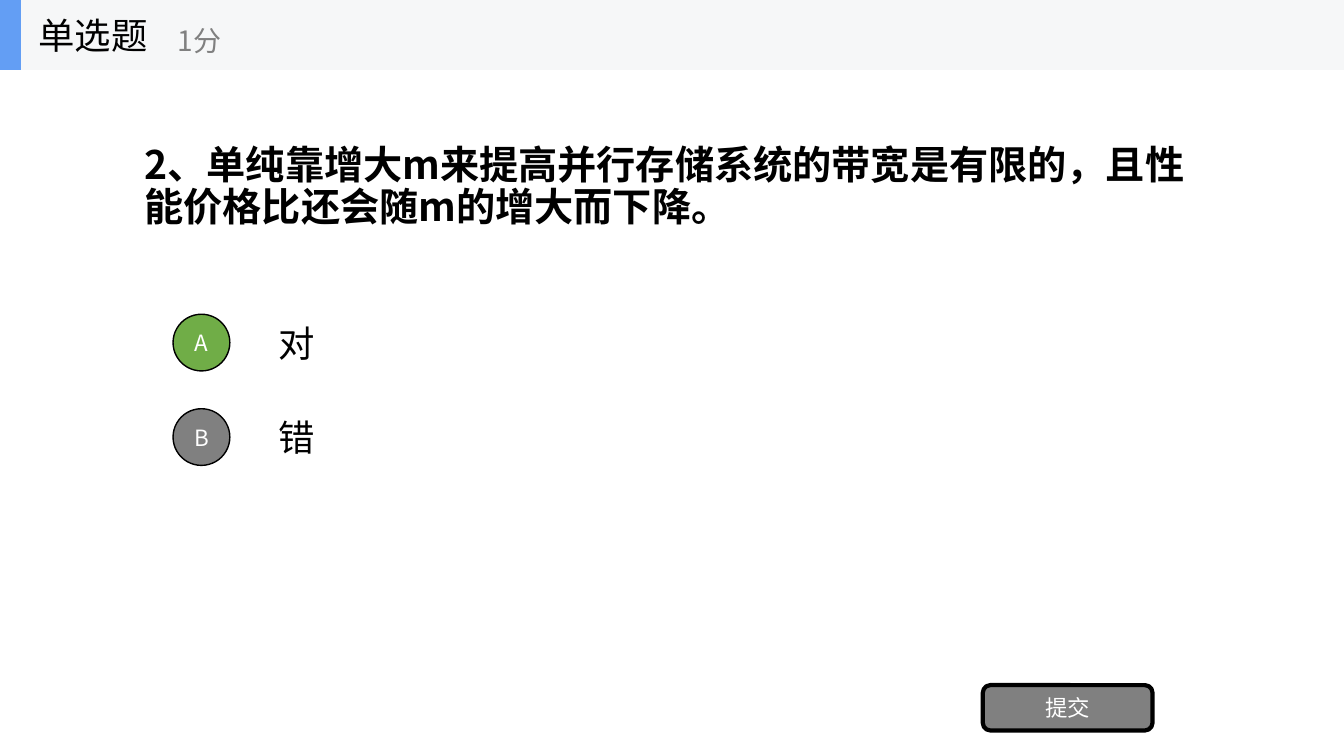
from pptx import Presentation
from pptx.dml.color import RGBColor
from pptx.enum.shapes import MSO_SHAPE as Kind
from pptx.enum.text import MSO_ANCHOR as Anchor, PP_ALIGN as Align
from pptx.util import Inches, Pt
from lxml.etree import SubElement
from pptx.oxml.ns import qn

HUES = {
    "black": "000000", "white": "FFFFFF", "gray": "808080",
    "green": "70AD47", "blue": "639EF4", "pale": "F6F7F8",
}
FONT = "Noto Sans CJK SC"
GRID = 80  # columns and rows on the slide
HEAD = 7.4  # rows in the header bar


def hue(name):
    return RGBColor.from_string(HUES[name])


def write(frame, text, size=16, color="black", bold=False, align=Align.LEFT, lead=None):
    frame.word_wrap = True
    frame.vertical_anchor = Anchor.MIDDLE
    para = frame.paragraphs[0]
    para.alignment = align
    para.line_spacing = lead
    run = para.add_run()
    run.text = text
    font = run.font
    font.name, font.size, font.bold = FONT, Pt(size), bold
    font.color.rgb = hue(color)
    SubElement(run._r.get_or_add_rPr(), qn("a:ea")).set("typeface", FONT)


class Quiz:
    """Draws on one slide; every place is (column, row, columns, rows)."""

    def __init__(self, deck):
        self.col, self.row = deck.slide_width / GRID, deck.slide_height / GRID
        self.slide = deck.slides.add_slide(deck.slide_layouts[5])
        self.shapes = self.slide.shapes

    def area(self, x, y, w, h):
        return [round(n) for n in (x * self.col, y * self.row, w * self.col, h * self.row)]

    def title(self, place, text, **style):
        box = self.shapes.title
        box.left, box.top, box.width, box.height = self.area(*place)
        write(box.text_frame, text, **style)

    def label(self, place, text, **style):
        write(self.shapes.add_textbox(*self.area(*place)).text_frame, text, **style)

    def block(self, kind, place, fill, text="", edge=0):
        shape = self.shapes.add_shape(kind, *self.area(*place))
        shape.shadow.inherit = False
        shape.fill.solid()
        shape.fill.fore_color.rgb = hue(fill)
        if edge:
            shape.line.color.rgb = hue("black")
            shape.line.width = Pt(edge)
        else:
            shape.line.fill.background()
        if text:
            write(shape.text_frame, text, color="white", align=Align.CENTER)

    def choice(self, y, mark, text, fill):
        self.label((16, y, 56, 7.5), text, size=26)
        self.block(Kind.OVAL, (10.3, y + 0.75, 3.38, 6), fill, mark, edge=1)


def main():
    deck = Presentation()
    deck.slide_width, deck.slide_height = Inches(13.33), Inches(7.5)
    quiz = Quiz(deck)

    quiz.title((8, HEAD, 64, 25),
               "2、单纯靠增大m来提高并行存储系统的带宽是有限的，且性能价格比还会随m的增大而下降。",
               size=28, bold=True, lead=0.9)

    choices = [("A", "对", "green"), ("B", "错", "gray")]
    for i, (mark, text, fill) in enumerate(choices):
        quiz.choice(32.5 + 10 * i, mark, text, fill)

    quiz.block(Kind.ROUNDED_RECTANGLE, (58.5, 72.5, 10.1, 4.8), "gray", "提交", edge=3)

    quiz.block(Kind.RECTANGLE, (0, 0, GRID, HEAD), "pale")
    quiz.block(Kind.RECTANGLE, (0, 0, 1.25, HEAD), "blue")
    quiz.label((1.7, 0, 12.5, HEAD), "单选题", size=26)
    quiz.label((10, 1.3, 15, 6), "1分", size=20, color="gray")

    deck.save("out.pptx")


if __name__ == "__main__":
    main()
